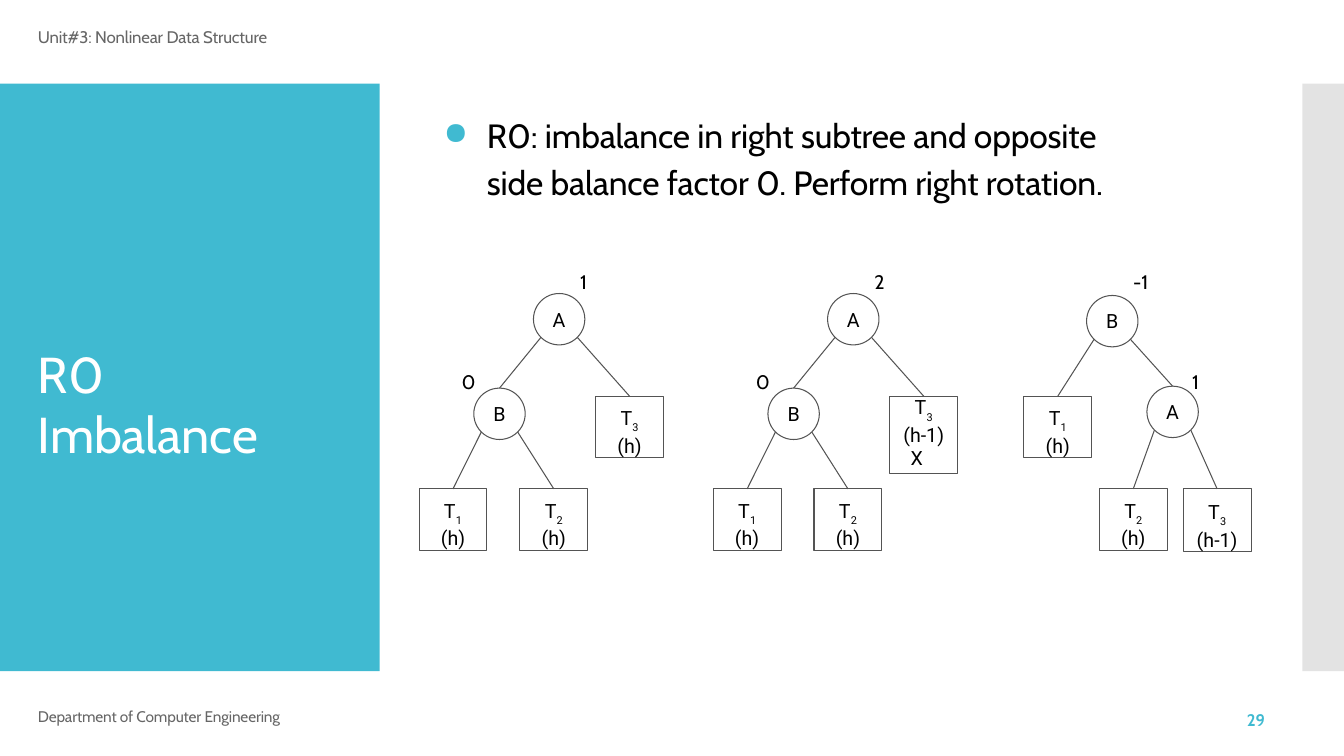
"""Build the slide on R0 imbalance with three AVL trees."""
import pptx
import pptx.dml.color
import pptx.enum.shapes
import pptx.enum.text
import pptx.oxml
import pptx.oxml.ns
import pptx.util

Pt = pptx.util.Pt
RGB = pptx.dml.color.RGBColor.from_string
ALIGN = pptx.enum.text.PP_ALIGN
ANCHOR = pptx.enum.text.MSO_ANCHOR
SHAPE = pptx.enum.shapes.MSO_SHAPE
NAMESPACE = pptx.oxml.ns.nsdecls("a")
COLOURS = {
    "teal": "40BAD1",
    "strip": "C8C8C8",
    "grey": "666666",
    "outline": "545454",
    "black": "000000",
    "white": "FFFFFF",
}


def open_frame(shape, top_inset=1, anchor=ANCHOR.TOP, align=ALIGN.LEFT):
    """Prepare the text frame and return its first paragraph."""
    frame = shape.text_frame
    frame.word_wrap = True
    frame.auto_size = pptx.enum.text.MSO_AUTO_SIZE.NONE
    frame.vertical_anchor = anchor
    frame.margin_left = frame.margin_right = frame.margin_bottom = 0
    frame.margin_top = Pt(top_inset)
    para = frame.paragraphs[0]
    para.alignment = align
    return para


def add_span(para, text, size, font="Cabin", colour="black", bold=False, **attributes):
    """Append one run; attributes go straight to its properties."""
    span = para.add_run()
    span.text = text
    span.font.size = Pt(size)
    span.font.name = font
    span.font.bold = bold
    span.font.color.rgb = RGB(COLOURS[colour])
    for key, value in attributes.items():
        span._r.get_or_add_rPr().set(key, str(value))


deck = pptx.Presentation()
deck.slide_width = Pt(960)
deck.slide_height = Pt(540)
page = deck.slides.add_slide(deck.slide_layouts[5])
shapes = page.shapes
title = shapes.title

for left, width, colour in [(0, 271.2, "teal"), (930.2, 29.8, "strip")]:
    panel = shapes.add_shape(SHAPE.RECTANGLE, Pt(left), Pt(59.8), Pt(width), Pt(419.6))
    panel.shadow.inherit = False
    panel.fill.solid()
    panel.fill.fore_color.rgb = RGB(COLOURS[colour])
    panel.line.fill.background()
    title.element.addprevious(panel.element)
strip_colour = panel.element.spPr.find(".//" + pptx.oxml.ns.qn("a:srgbClr"))
strip_colour.append(pptx.oxml.parse_xml(f'<a:alpha {NAMESPACE} val="50000"/>'))

title.left, title.top, title.width, title.height = Pt(27), Pt(244), Pt(202), Pt(90)
add_span(open_frame(title), "R0 Imbalance", 36, colour="white", spc=-10)

captions = [
    ("Unit#3: Nonlinear Data Structure", 27, 18, 165, 32, 12, "grey", False, None),
    ("Department of Computer Engineering", 27, 506.9, 190, 13, 11, "grey", False, 11.4),
    ("29", 890.6, 509, 20, 14, 12, "teal", True, 12.3),
]
for text, left, top, width, height, size, colour, bold, spacing in captions:
    box = shapes.add_textbox(Pt(left), Pt(top), Pt(width), Pt(height))
    para = open_frame(box, 1 if spacing is None else 0)
    if spacing:
        para.line_spacing = Pt(spacing)
    add_span(para, text, size, colour=colour, bold=bold, spc=0 if bold else -10)

box = shapes.add_textbox(Pt(315.4), Pt(77), Pt(506), Pt(68))
para = open_frame(box)
para.line_spacing = 1.15
properties = para._p.get_or_add_pPr()
properties.set("marL", str(Pt(32.4)))
properties.set("indent", str(Pt(-31)))
for bullet in (
    f'<a:buClr {NAMESPACE}><a:srgbClr val="{COLOURS["teal"]}"/></a:buClr>',
    f'<a:buSzPct {NAMESPACE} val="92000"/>',
    f'<a:buChar {NAMESPACE} char="●"/>',
):
    properties.append(pptx.oxml.parse_xml(bullet))
for text, tracking in [
    ("R0: imbalance in right subtree and opposite side balance factor 0. ", -10),
    ("Perform ", -20),
    ("right rotation.", -10),
]:
    add_span(para, text, 24, spc=tracking)

RADIUS = 18.36
CORNER = 13
LEAF_WIDTH = 48.5
UPPER, LOWER = 283, 349.2
LEAF, TALL_LEAF = (44, 10.4), (55, 2.9)

trees = []
for shift, root_balance, right_lines, right_leaf in [
    (0, "1", ["(h)"], LEAF),
    (210.1, "2", ["(h-1)", "X"], TALL_LEAF),
]:
    root, child = (399.4 + shift, 228), (356.8 + shift, 295.6)
    nodes = [("A", root, root_balance, 15, 191.5), ("B", child, "0", -27, 263.5)]
    leaves = [
        ("1", ["(h)"], 323.6 + shift, LOWER, LEAF, child),
        ("2", ["(h)"], 395.6 + shift, LOWER, LEAF, child),
        ("3", right_lines, 449.7 + shift, UPPER, right_leaf, root),
    ]
    trees.append((nodes, leaves))
root, child = (794.5, 229.4), (837.6, 294.2)
trees.append((
    [("B", root, "-1", 15, 191.5), ("A", child, "1", 14, 263.5)],
    [
        ("1", ["(h)"], 755.6, UPPER, LEAF, root),
        ("2", ["(h)"], 809.5, LOWER, LEAF, child),
        ("3", ["(h-1)"], 869.4, LOWER, (44.6, 11.2), child),
    ],
))

for nodes, leaves in trees:
    root, child = nodes[0][1], nodes[1][1]
    edges = [(root, child[0], child[1] - RADIUS)]
    edges += [(parent, centre, top) for _, _, centre, top, _, parent in leaves]
    for (x, y), end_x, end_y in edges:
        start_x = x + (CORNER if end_x > x else -CORNER)
        edge = shapes.add_connector(
            pptx.enum.shapes.MSO_CONNECTOR.STRAIGHT,
            Pt(start_x), Pt(y + CORNER), Pt(end_x), Pt(end_y),
        )
        edge.line.color.rgb = RGB(COLOURS["outline"])
        edge.line.width = Pt(0.75)
        edge.element.spPr.append(pptx.oxml.parse_xml(f"<a:effectLst {NAMESPACE}/>"))

    outlined = []
    for name, (x, y), balance, offset, label_top in nodes:
        circle = shapes.add_shape(
            SHAPE.OVAL, Pt(x - RADIUS), Pt(y - RADIUS), Pt(2 * RADIUS), Pt(2 * RADIUS)
        )
        outlined.append(circle)
        add_span(open_frame(circle, 0, ANCHOR.MIDDLE, ALIGN.CENTER), name, 14, "Roboto")
        label = shapes.add_textbox(Pt(x + offset), Pt(label_top), Pt(20), Pt(18))
        add_span(open_frame(label), balance, 14)

    for index, lines, centre, top, (height, inset), _ in leaves:
        leaf = shapes.add_shape(
            SHAPE.RECTANGLE, Pt(centre - LEAF_WIDTH / 2), Pt(top), Pt(LEAF_WIDTH), Pt(height)
        )
        outlined.append(leaf)
        para = open_frame(leaf, inset, align=ALIGN.CENTER)
        para.line_spacing = Pt(16.6)
        add_span(para, "T", 14, "Roboto", spc=10)
        add_span(para, index, 13.5, "Roboto", baseline=-34000)
        for text in lines:
            para = leaf.text_frame.add_paragraph()
            para.alignment = ALIGN.CENTER
            para.line_spacing = Pt(16 if text == "X" else 16.6)
            if text == "X":
                para._p.get_or_add_pPr().set("marR", str(Pt(10)))
            add_span(para, text, 14, "Roboto")

    for shape in outlined:
        shape.shadow.inherit = False
        shape.fill.background()
        shape.line.color.rgb = RGB(COLOURS["outline"])
        shape.line.width = Pt(0.75)

deck.save("out.pptx")
